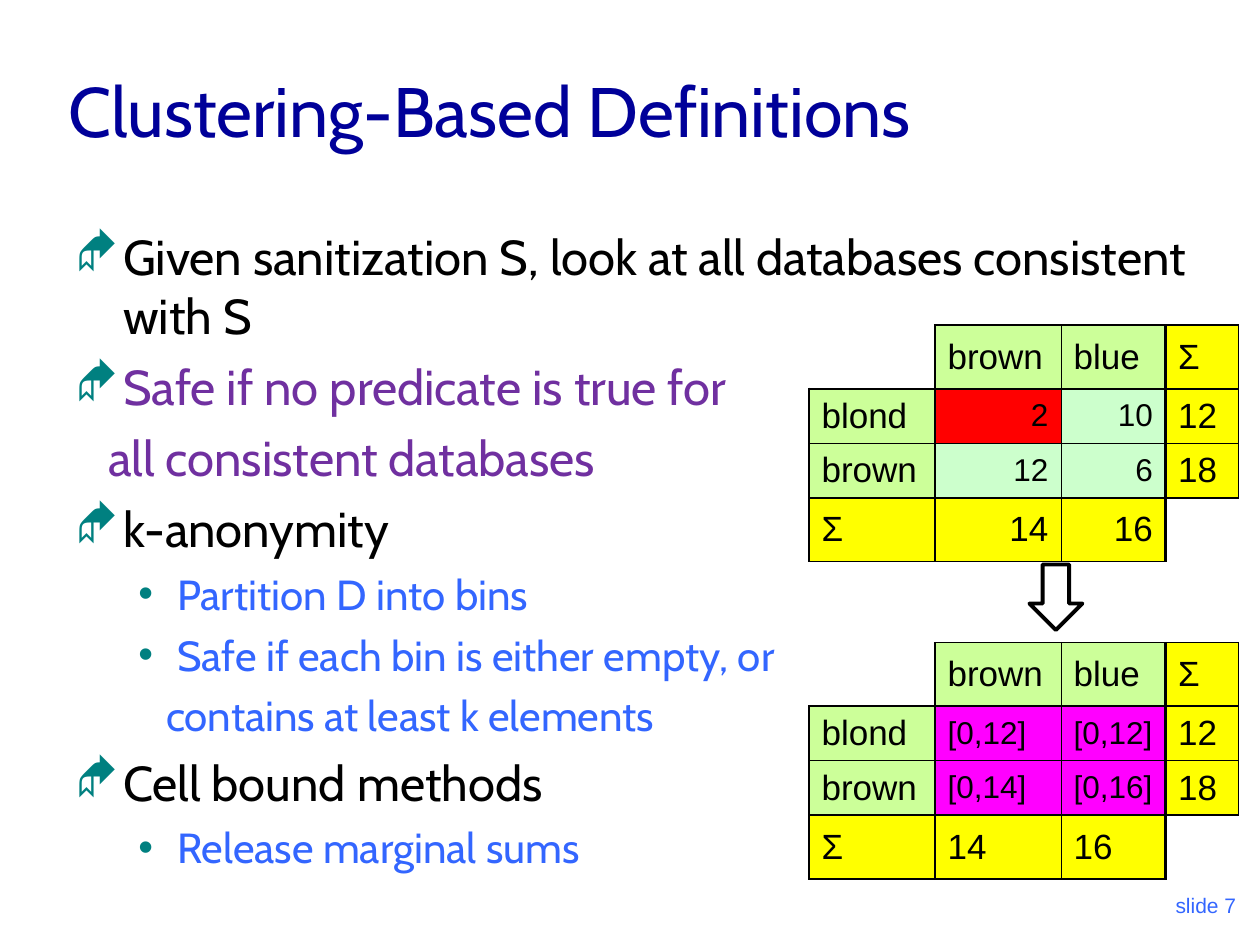
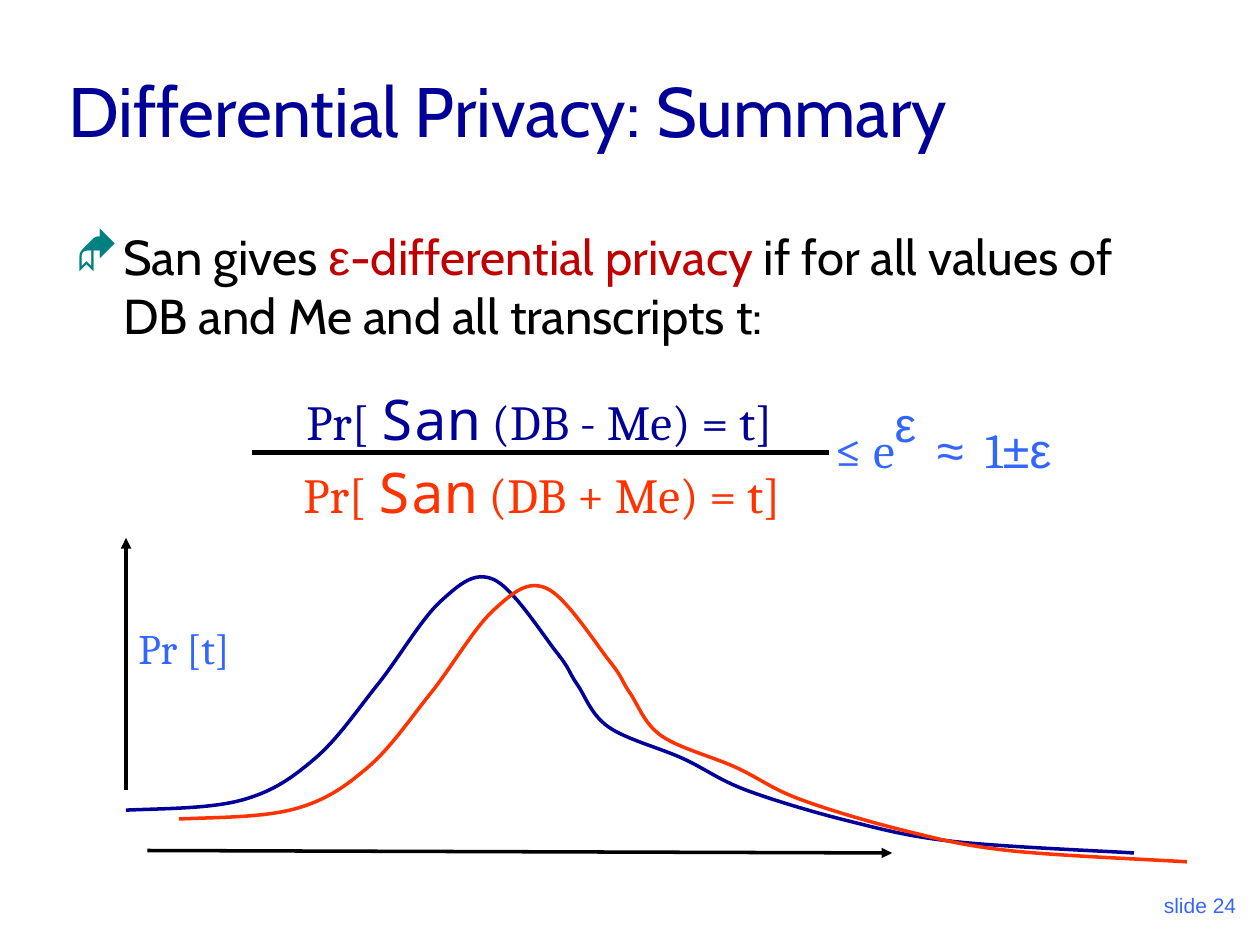
from pptx import Presentation
from pptx.util import Inches, Pt
from pptx.dml.color import RGBColor as RGB
from pptx.enum.shapes import MSO_SHAPE as SHAPE, MSO_CONNECTOR as CONN
from pptx.enum.text import PP_ALIGN as AL, MSO_ANCHOR as ANC, MSO_AUTO_SIZE as FIT
from pptx.oxml import parse_xml
from pptx.oxml.ns import nsdecls, qn
from lxml.etree import SubElement as Sub

NAVY = RGB(0x00, 0x00, 0x99)
BLUE = RGB(0x33, 0x66, 0xFF)
BLACK = RGB(0, 0, 0)
PLUM = RGB(0x70, 0x30, 0xA0)
CRIMSON = RGB(0xC0, 0, 0)
RED = RGB(0xFF, 0, 0)
ORANGE = RGB(0xFF, 0x33, 0)
LIME = RGB(0xCC, 0xFF, 0x99)
MINT = RGB(0xCC, 0xFF, 0xCC)
YELLOW = RGB(0xFF, 0xFF, 0)
PINK = RGB(0xFF, 0, 0xFF)
SANS, ARIAL, SERIF, MONO = "Cabin", "Arial", "Cambria", "Noto Sans Mono"


def write(para, text, size=28, font=SANS, color=BLACK, **marks):
    run = para.add_run()
    run.text = text
    run.font.size = Pt(size)
    run.font.name = font
    run.font.color.rgb = color
    for key, val in marks.items():
        run.font._element.set(key, str(val))


def box(slide, at, wrap=True, anchor=ANC.TOP, align=AL.LEFT):
    frame = slide.shapes.add_textbox(*map(Inches, at)).text_frame
    frame.word_wrap = wrap
    frame.auto_size = FIT.NONE if wrap else FIT.SHAPE_TO_FIT_TEXT
    frame.vertical_anchor = anchor
    frame.paragraphs[0].alignment = align
    return frame


prs = Presentation()
prs.slide_width, prs.slide_height = Inches(10), Inches(7.5)

points = [
    (0, "◆", [("Given sanitization S, look at all databases consistent with S", SANS, BLACK)]),
    (0, "◆", [("Safe if no predicate is true for", SANS, PLUM)]),
    (0, "", [("all consistent databases", SANS, PLUM)]),
    (0, "◆", [("k-anonymity", SANS, BLACK)]),
    (1, "•", [("Partition D into bins", SANS, BLUE)]),
    (1, "•", [("Safe if each bin is either empty, or", SANS, BLUE)]),
    (1, "", [("contains at least k elements", SANS, BLUE)]),
    (0, "◆", [("Cell bound methods", SANS, BLACK)]),
    (1, "•", [("Release marginal sums", SANS, BLUE)]),
]
summary = [(0, "◆", [
    ("San gives ", SANS, BLACK), ("ε", ARIAL, CRIMSON),
    ("-differential privacy ", SANS, CRIMSON),
    ("if for all values of DB and Me and all transcripts t:", SANS, BLACK),
])]
pages = [
    ("Clustering-Based Definitions", 7, (0.5, 1.75, 9.17, 5.58), points),
    ("Differential Privacy: Summary", 24, (0.5, 1.75, 8.94, 4.88), summary),
]
levels = [(28, 7, 0.38, 0.38, 0.26, "Wingdings"), (24, 6, 0.81, 0.31, 0.72, ARIAL)]

for name, num, area, items in pages:
    slide = prs.slides.add_slide(prs.slide_layouts[5])
    title = slide.shapes.title
    title.left, title.top, title.width, title.height = map(Inches, (0.44, 0.25, 8.5, 1))
    frame = title.text_frame
    frame.auto_size = FIT.NONE
    frame.vertical_anchor = ANC.BOTTOM
    frame.paragraphs[0].alignment = AL.LEFT
    write(frame.paragraphs[0], name, 40, color=NAVY)

    body = box(slide, area)
    for i, (level, mark, runs) in enumerate(items):
        size, gap, left, hang, plain, face = levels[level]
        para = body.add_paragraph() if i else body.paragraphs[0]
        props = para._p.get_or_add_pPr()
        props.set("marL", str(Inches(left if mark else plain)))
        props.set("indent", str(-Inches(hang) if mark else 0))
        if mark:
            props.append(parse_xml(f'<a:buClr {nsdecls("a")}><a:srgbClr val="008080"/></a:buClr>'))
            props.append(parse_xml(f'<a:buFont {nsdecls("a")} typeface="{face}"/>'))
            props.append(parse_xml(f'<a:buChar {nsdecls("a")} char="{mark}"/>'))
        para.level = level
        para.space_before = Pt(gap if i else 0)
        for text, font, color in runs:
            write(para, text, size, font, color)

    foot = box(slide, (7.83, 6.83, 2.08, 0.5), anchor=ANC.BOTTOM, align=AL.RIGHT)
    write(foot.paragraphs[0], f"slide {num}", 12, ARIAL, BLUE)

first, second = prs.slides

bounds = [["[0,12]", "[0,12]"], ["[0,14]", "[0,16]"]]
counts = [["2", "10"], ["12", "6"]]
rules = [1.08, 1.47, 0.45, 1.47, 1.08]
bare = {(0, 0): "LT", (3, 3): "RB"}
for top, inner, tint, align in [(5.1, bounds, PINK, AL.LEFT), (2.58, counts, MINT, AL.RIGHT)]:
    rows = [["", "brown", "blue", "Σ"], ["blond", *inner[0], "12"],
            ["brown", *inner[1], "18"], ["Σ", "14", "16", ""]]
    table = first.shapes.add_table(4, 4, Inches(6.42), Inches(top), Inches(3.41), Inches(1.73)).table
    table.first_row = table.horz_banding = False
    for col, width in zip(table.columns, [1, 1, 0.83, 0.58]):
        col.width = Inches(width)
    for r, row in enumerate(rows):
        for c, text in enumerate(row):
            cell = table.cell(r, c)
            cell.vertical_anchor = ANC.MIDDLE
            props = cell._tc.get_or_add_tcPr()
            for side, weight in zip("LRTB", [rules[c], rules[c + 1], rules[r], rules[r + 1]]):
                fill = "<a:noFill/>"
                if side not in bare.get((r, c), ""):
                    fill = '<a:solidFill><a:srgbClr val="000000"/></a:solidFill>'
                props.append(parse_xml(
                    f'<a:ln{side} {nsdecls("a")} w="{Pt(weight)}">{fill}</a:ln{side}>'))
            para = cell.text_frame.paragraphs[0]
            if not text:
                cell.fill.background()
                mark = Sub(para._p, qn("a:endParaRPr"), sz="2400")
                Sub(mark, qn("a:latin"), typeface=SANS)
                continue
            core = r in (1, 2) and c in (1, 2)
            cell.fill.solid()
            if core:
                cell.fill.fore_color.rgb = RED if text == "2" else tint
            else:
                cell.fill.fore_color.rgb = YELLOW if r == 3 or c == 3 else LIME
            para.alignment = align if r and c in (1, 2) else AL.LEFT
            write(para, text, 18 if core else 20, ARIAL)

arrow = first.shapes.add_shape(SHAPE.DOWN_ARROW, *map(Inches, (8.17, 4.48, 0.42, 0.52)))
arrow.shadow.inherit = False
arrow.fill.background()
arrow.line.color.rgb = BLACK
arrow.line.width = Pt(2.25)

lines = [((1, 6.27, 1, 4.27), 2, True), ((1.17, 6.75, 7.08, 6.77), 2, True),
         ((2, 3.59, 6.58, 3.59), 3, False)]
for ends, weight, tip in lines:
    line = second.shapes.add_connector(CONN.STRAIGHT, *map(Inches, ends))
    line.line.color.rgb = BLACK
    line.line.width = Pt(weight)
    if tip:
        line.line._get_or_add_ln().append(parse_xml(f'<a:tailEnd {nsdecls("a")} type="triangle"/>'))
    Sub(line._element.spPr, qn("a:effectLst"))

knots = [(1, 6.43), (1.92, 6.35), (2.5, 6.02), (3, 5.43), (3.5, 4.77), (3.92, 4.6), (4.42, 5.18),
         (4.58, 5.43), (4.83, 5.77), (5.42, 6.02), (5.92, 6.27), (6.75, 6.52), (7.58, 6.68), (9, 6.77)]
ends = [(0, 6.43), *knots, knots[-1]]
curve = [knots[0]]
for (ax, ay), (bx, by), (cx, cy), (dx, dy) in zip(ends, ends[1:], ends[2:], ends[3:]):
    curve += [(bx + (cx - ax) / 6, by + (cy - ay) / 6),
              (cx - (dx - bx) / 6, cy - (dy - by) / 6), (cx, cy)]

for dx, dy, color in [(0, 0, NAVY), (0.42, 0.07, ORANGE)]:
    dots = [(Inches(x + dx), Inches(y + dy)) for x, y in curve]
    pen = second.shapes.build_freeform(*dots[0])
    pen.add_line_segments(dots[1:], close=False)
    bell = pen.convert_to_shape()
    steps = list(bell._element.iter(qn("a:lnTo")))
    route = steps[0].getparent()
    for i in range(0, len(steps), 3):
        bend = Sub(route, qn("a:cubicBezTo"))
        for step in steps[i:i + 3]:
            bend.append(step[0])
            route.remove(step)
    bell.shadow.inherit = False
    bell.fill.background()
    bell.line.color.rgb = color
    bell.line.width = Pt(2)

axis = box(second, (1, 4.89, 1, 0.5), wrap=False)
write(axis.paragraphs[0], "Pr [t]", 24, SERIF, BLUE)

for at, sign, color in [((2.22, 3, 4.12, 0.64), "-", NAVY), ((2.19, 3.58, 4.22, 0.64), "+", ORANGE)]:
    para = box(second, at, wrap=False, align=AL.CENTER).paragraphs[0]
    write(para, "Pr[ ", 28, SERIF, color)
    write(para, "San", 32, MONO, color)
    write(para, f" (DB {sign} Me) = t]", 28, SERIF, color)

para = box(second, (6.53, 3, 2.38, 0.9), wrap=False).paragraphs[0]
write(para, "≤ e", 28, SERIF, BLUE)
write(para, "ε ", 48, ARIAL, BLUE, baseline=30000, spc=200)
write(para, "≈", 28, ARIAL, BLUE, spc=600)
write(para, " 1", 28, SERIF, BLUE)
write(para, "±ε", 28, ARIAL, BLUE)

prs.save("out.pptx")
